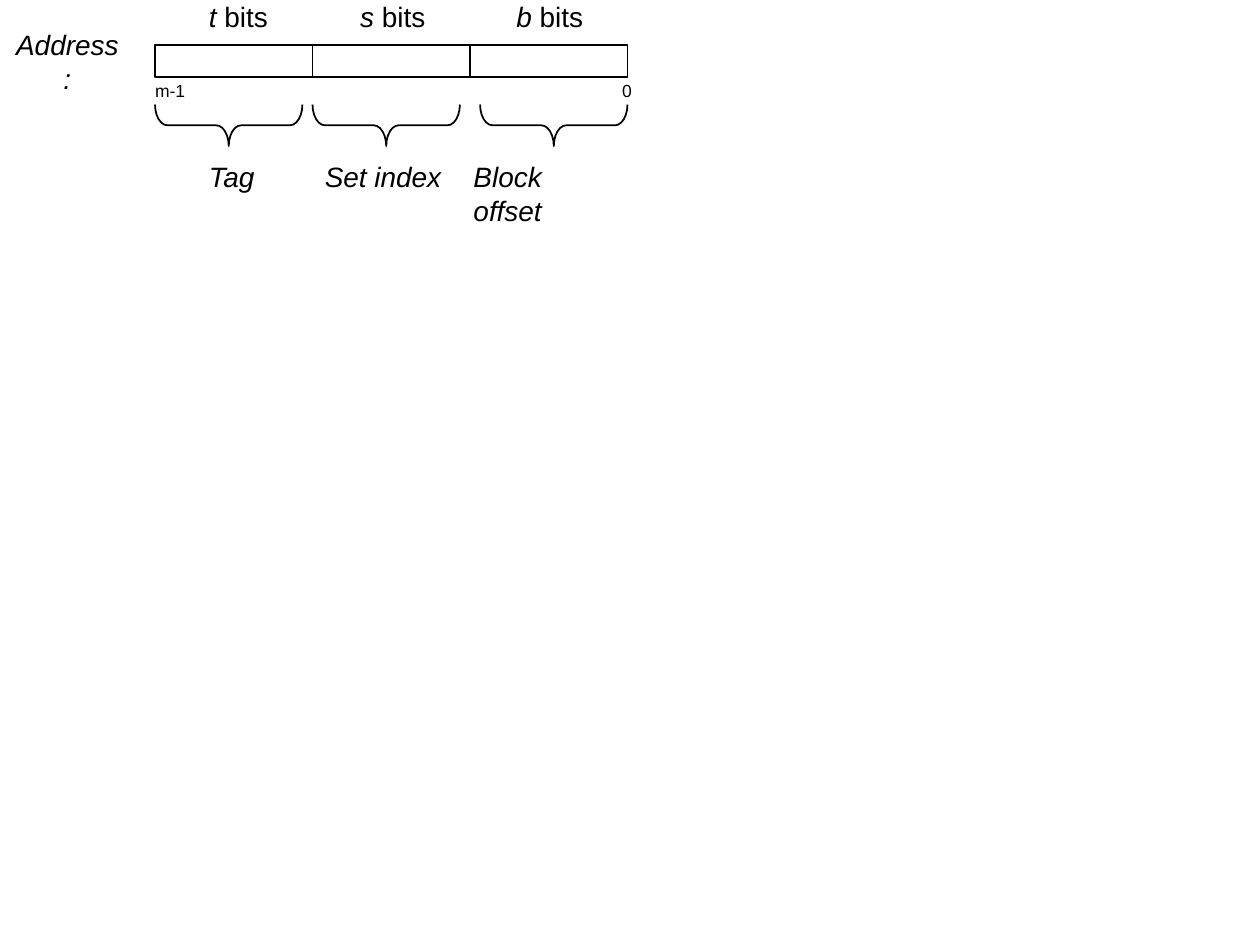
from dataclasses import dataclass

from pptx import Presentation
from pptx.dml.color import RGBColor
from pptx.enum.shapes import MSO_SHAPE
from pptx.enum.text import MSO_ANCHOR, MSO_AUTO_SIZE, PP_ALIGN
from pptx.util import Inches, Pt


@dataclass(frozen=True)
class Theme:
    ink: RGBColor = RGBColor(0, 0, 0)
    font: str = "Arial"
    label: Pt = Pt(16)
    small: Pt = Pt(10)
    line: Pt = Pt(1)


class Diagram:
    def __init__(self, slide, theme):
        self.s = slide
        self.theme = theme

    def outline(self, kind, x, y, w, h):
        sp = self.s.shapes.add_shape(kind, Inches(x), Inches(y), Inches(w), Inches(h))
        sp.shadow.inherit = False
        sp.fill.background()
        sp.line.color.rgb = self.theme.ink
        sp.line.width = self.theme.line
        return sp

    def field(self, x, y, w, h):
        return self.outline(MSO_SHAPE.RECTANGLE, x, y, w, h)

    def brace_below(self, x, y, w, h):
        """Draw a downward brace; x, y, w, h describe it after its quarter turn."""
        sp = self.outline(MSO_SHAPE.RIGHT_BRACE, x + (w - h) / 2, y + (h - w) / 2, h, w)
        sp.rotation = 90
        sp.adjustments[0] = 0.3
        return sp

    def text(self, x, y, w, h, runs, size=None, centred=False, wrap=False):
        """Add a text box; runs is a list of (wording, italic) pairs."""
        sp = self.s.shapes.add_textbox(Inches(x), Inches(y), Inches(w), Inches(h))
        tf = sp.text_frame
        frame_format = {
            "word_wrap": wrap,
            "auto_size": MSO_AUTO_SIZE.SHAPE_TO_FIT_TEXT,
            "vertical_anchor": MSO_ANCHOR.MIDDLE if centred else MSO_ANCHOR.TOP,
        }
        for name, value in frame_format.items():
            setattr(tf, name, value)
        p = tf.paragraphs[0]
        p.alignment = PP_ALIGN.CENTER if centred else PP_ALIGN.LEFT
        for wording, italic in runs:
            r = p.add_run()
            r.text = wording
            run_format = {"name": self.theme.font, "size": size or self.theme.label, "italic": italic}
            for name, value in run_format.items():
                setattr(r.font, name, value)
            r.font.color.rgb = self.theme.ink
        return sp


FIELD_LEFT, FIELD_TOP, FIELD_W, FIELD_H = 1.23, 0.36, 1.25, 0.25
BRACE_TOP, BRACE_W, BRACE_H = 0.83, 1.17, 0.33
BITS_TOP, NAME_TOP, LABEL_H = -0.05, 1.22, 0.36

# bit-count runs, their left and width; name, its left, width and wrap; brace left
FIELDS = [
    ([("t ", True), ("bits", False)], 1.56, 0.67, "Tag", 1.56, 0.58, False, 1.23),
    ([("s", True), (" bits", False)], 2.76, 0.72, "Set index", 2.48, 1.25, True, 2.48),
    ([("b", True), (" bits", False)], 4.00, 0.73, "Block offset", 3.66, 1.34, False, 3.81),
]
BIT_NUMBERS = [("m-1", 1.13, 0.44), ("0", 4.84, 0.27)]


def main():
    prs = Presentation()
    prs.slide_width, prs.slide_height = Inches(10), Inches(7.5)
    theme = Theme()
    d = Diagram(prs.slides.add_slide(prs.slide_layouts[6]), theme)

    d.text(0, 0.3, 1.07, 0.37, [("Address:", True)], centred=True)
    for i, (bits, bits_x, bits_w, name, name_x, name_w, wrap, brace_x) in enumerate(FIELDS):
        d.text(bits_x, BITS_TOP, bits_w, LABEL_H, bits)
        d.field(FIELD_LEFT + i * FIELD_W, FIELD_TOP, FIELD_W, FIELD_H)
        d.brace_below(brace_x, BRACE_TOP, BRACE_W, BRACE_H)
        d.text(name_x, NAME_TOP, name_w, LABEL_H, [(name, True)], wrap=wrap)
    for number, x, w in BIT_NUMBERS:
        d.text(x, 0.58, w, 0.27, [(number, False)], size=theme.small, centred=True)

    prs.save("out.pptx")


if __name__ == "__main__":
    main()
